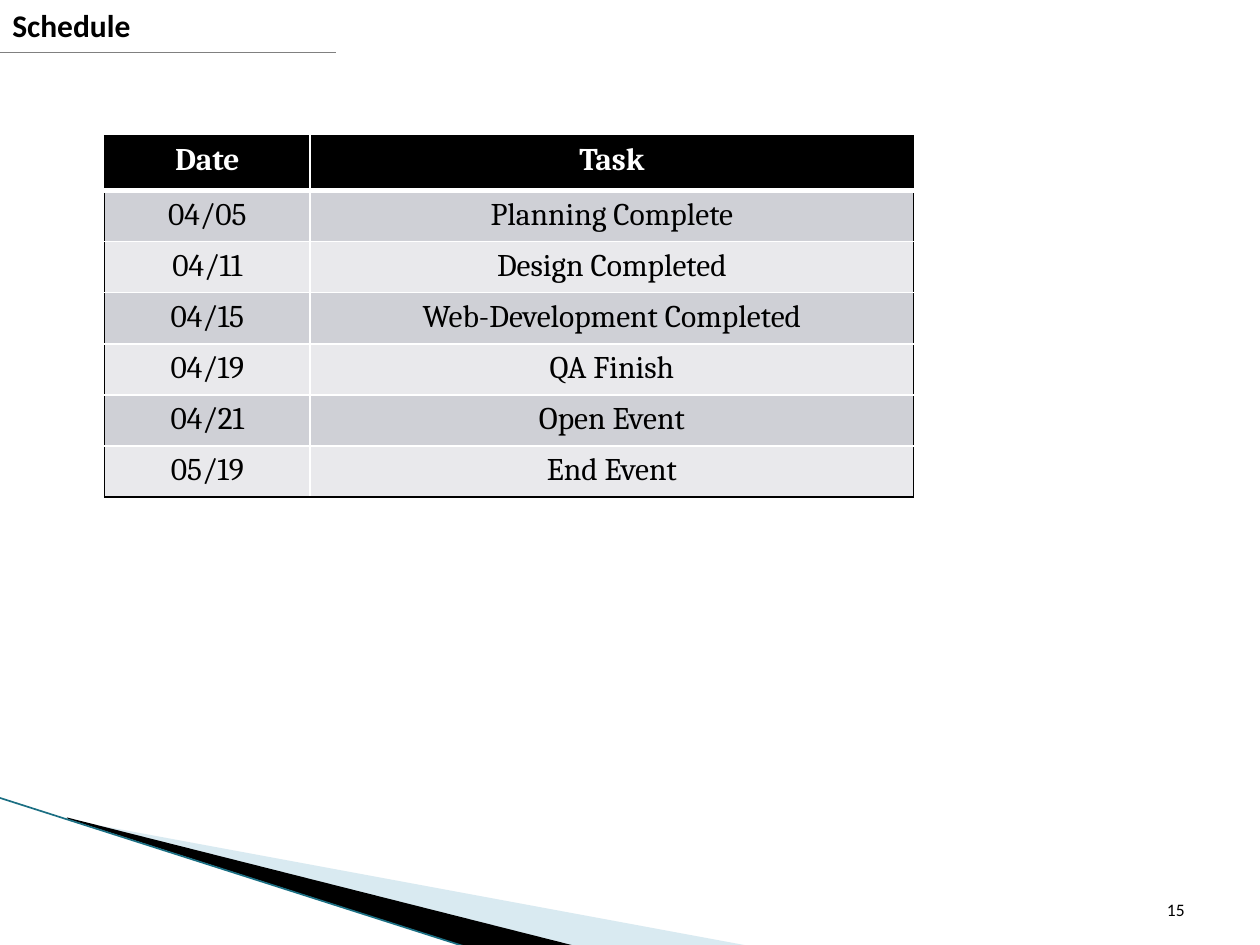
"""Build the project schedule slide with its dated task table."""
from dataclasses import dataclass

import lxml.etree
import pptx
import pptx.dml.color
import pptx.enum.shapes
import pptx.enum.text
import pptx.oxml.ns
import pptx.util

Cm = pptx.util.Cm
Pt = pptx.util.Pt
RGBColor = pptx.dml.color.RGBColor
Align = pptx.enum.text.PP_ALIGN
Anchor = pptx.enum.text.MSO_ANCHOR
qn = pptx.oxml.ns.qn

BLACK = RGBColor(0x00, 0x00, 0x00)
WHITE = RGBColor(0xFF, 0xFF, 0xFF)
GRAY = RGBColor(0x80, 0x80, 0x80)
TEAL = RGBColor(0x1B, 0x6F, 0x83)
PALE_BLUE = RGBColor(0xA0, 0xCB, 0xDC)
BANDS = (RGBColor(0xCF, 0xD0, 0xD6), RGBColor(0xE9, 0xE9, 0xEC))


@dataclass(frozen=True)
class Milestone:
    date: str
    task: str


@dataclass(frozen=True)
class Wedge:
    points: tuple[tuple[float, float], ...]
    color: RGBColor
    opacity: int


@dataclass(frozen=True)
class Rule:
    start: tuple[float, float]
    end: tuple[float, float]
    color: RGBColor
    width: float


@dataclass(frozen=True)
class Label:
    text: str
    box: tuple[float, float, float, float]
    size: int
    bold: bool
    align: Align
    anchor: Anchor


HEADING = Milestone("Date", "Task")
MILESTONES = (
    Milestone("04/05", "Planning Complete"),
    Milestone("04/11", "Design Completed"),
    Milestone("04/15", "Web-Development Completed"),
    Milestone("04/19", "QA Finish"),
    Milestone("04/21", "Open Event"),
    Milestone("05/19", "End Event"),
)
WEDGES = (
    Wedge(((1.4, 16.53), (15.11, 19.07), (11.58, 19.07), (1.4, 16.51)), PALE_BLUE, 40),
    Wedge(((1.35, 16.48), (11.6, 19.07), (9.45, 19.1), (1.37, 16.51)), BLACK, 100),
)
RULES = (
    Rule((-0.02, 16.08), (9.43, 19.1), TEAL, 0.95),
    Rule((0, 1.06), (6.78, 1.06), GRAY, 0.75),
)
LABELS = (
    Label("15", (18.21, 17.65, 5.92, 1.02), 10, False, Align.RIGHT, Anchor.BOTTOM),
    Label("Schedule", (0, 0, 9.53, 1.02), 18, True, Align.LEFT, Anchor.TOP),
)
COLUMN_WIDTHS = (4.14, 12.17)
HEADING_HEIGHT, ROW_HEIGHT = 1.1, 1.03


def style_text(paragraph, font: str, size: int, bold: bool, color: RGBColor, align: Align) -> None:
    paragraph.alignment = align
    for run in paragraph.runs:
        run.font.name = font
        run.font.size = Pt(size)
        run.font.bold = bold
        run.font.color.rgb = color


def draw_wedge(slide, wedge: Wedge) -> None:
    corners = [(Cm(x), Cm(y)) for x, y in wedge.points]
    builder = slide.shapes.build_freeform(*corners[0])
    builder.add_line_segments(corners[1:], close=True)
    blade = builder.convert_to_shape()
    blade.shadow.inherit = False
    blade.fill.solid()
    blade.fill.fore_color.rgb = wedge.color
    blade.line.fill.background()
    if wedge.opacity < 100:
        tint = next(blade.fill._xPr.iter(qn("a:srgbClr")))
        lxml.etree.SubElement(tint, qn("a:alpha"), val=str(wedge.opacity * 1000))


def draw_rule(slide, rule: Rule) -> None:
    stroke = slide.shapes.add_connector(
        pptx.enum.shapes.MSO_CONNECTOR.STRAIGHT, *map(Cm, rule.start + rule.end))
    stroke.line.color.rgb = rule.color
    stroke.line.width = Pt(rule.width)
    lxml.etree.SubElement(stroke._element.spPr, qn("a:effectLst"))


def draw_label(slide, label: Label) -> None:
    frame = slide.shapes.add_textbox(*map(Cm, label.box)).text_frame
    frame.word_wrap = True
    frame.vertical_anchor = label.anchor
    frame.text = label.text
    style_text(frame.paragraphs[0], "Calibri", label.size, label.bold, BLACK, label.align)


def set_border(cell, side: str, color: RGBColor, width: float) -> None:
    edge = lxml.etree.SubElement(
        cell._tc.get_or_add_tcPr(), qn(f"a:ln{side}"), w=str(Pt(width)))
    fill = lxml.etree.SubElement(edge, qn("a:solidFill"))
    lxml.etree.SubElement(fill, qn("a:srgbClr"), val=str(color))


def draw_schedule(slide, milestones: tuple[Milestone, ...]) -> None:
    entries = (HEADING, *milestones)
    last = len(entries) - 1
    height = HEADING_HEIGHT + ROW_HEIGHT * last
    schedule = slide.shapes.add_table(
        len(entries), 2, Cm(2.11), Cm(2.74), Cm(sum(COLUMN_WIDTHS)), Cm(height)).table
    for column, width in zip(schedule.columns, COLUMN_WIDTHS):
        column.width = Cm(width)
    for row, entry in enumerate(entries):
        heading = row == 0
        schedule.rows[row].height = Cm(HEADING_HEIGHT if heading else ROW_HEIGHT)
        for column, text in enumerate((entry.date, entry.task)):
            cell = schedule.cell(row, column)
            cell.text_frame.text = text
            style_text(cell.text_frame.paragraphs[0], "Cambria", 18, heading,
                       WHITE if heading else BLACK, Align.CENTER)
            set_border(cell, "L", WHITE if column else BLACK, 1)
            set_border(cell, "R", BLACK if column else WHITE, 1)
            set_border(cell, "T", BLACK if heading else WHITE, 3 if row == 1 else 1)
            set_border(cell, "B", BLACK if row == last else WHITE, 3 if heading else 1)
            cell.fill.solid()
            cell.fill.fore_color.rgb = BLACK if heading else BANDS[(row - 1) % 2]


def main() -> None:
    deck = pptx.Presentation()
    deck.slide_width, deck.slide_height = Cm(25.4), Cm(19.05)
    slide = deck.slides.add_slide(deck.slide_layouts[6])
    for wedge in WEDGES:
        draw_wedge(slide, wedge)
    for rule in RULES:
        draw_rule(slide, rule)
    for label in LABELS:
        draw_label(slide, label)
    draw_schedule(slide, MILESTONES)
    deck.save("out.pptx")


if __name__ == "__main__":
    main()
